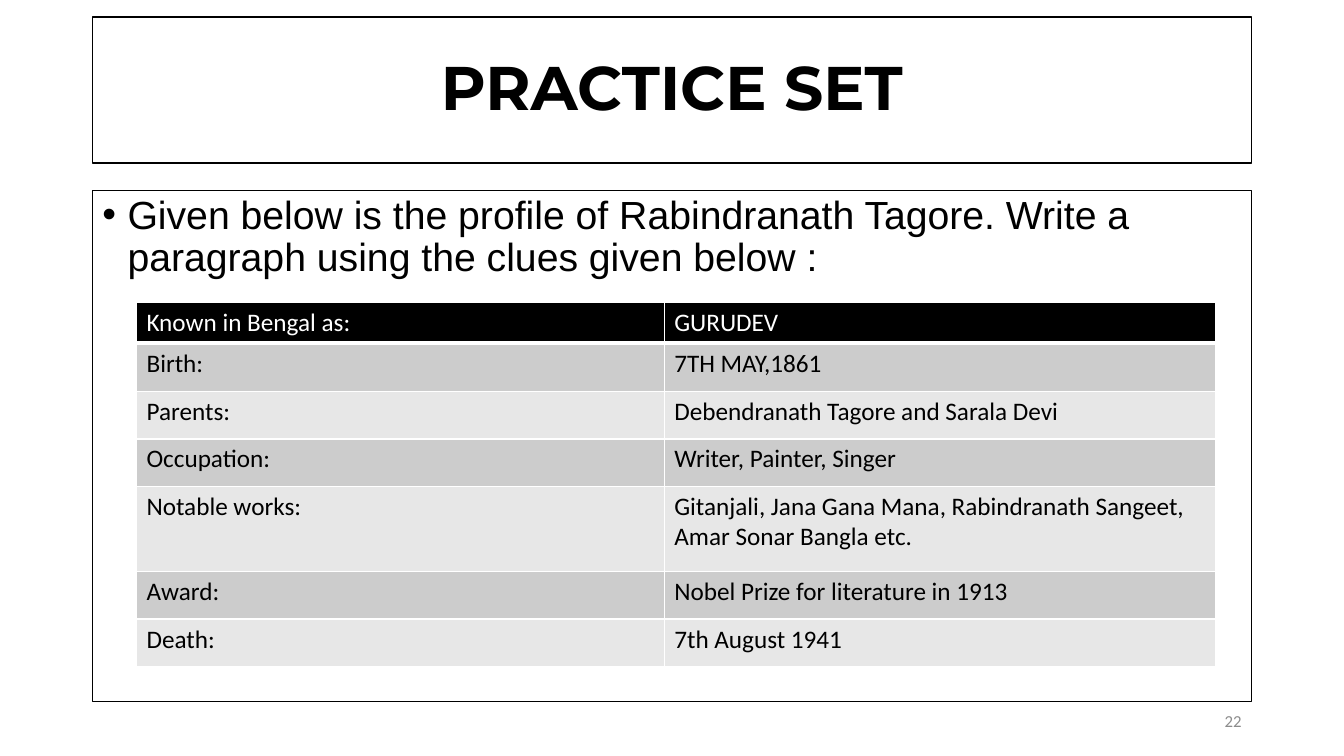
"""Build the practice set slide with the profile of Rabindranath Tagore."""
from lxml import etree
from pptx import Presentation, util as u
from pptx.dml.color import RGBColor
from pptx.enum import shapes, text
from pptx.oxml.ns import qn

COLORS = {"black": "000000", "white": "FFFFFF", "dark band": "CCCCCC",
          "light band": "E7E7E7", "page": "8C8C8C"}
PROFILE = [
    ("Known in Bengal as:", "GURUDEV", 1.02),
    ("Birth:", "7TH MAY,1861", 1.22),
    ("Parents:", "Debendranath Tagore and Sarala Devi", 1.19),
    ("Occupation:", "Writer, Painter, Singer", 1.19),
    ("Notable works:", "Gitanjali, Jana Gana Mana, Rabindranath Sangeet, Amar Sonar Bangla etc.", 2.16),
    ("Award:", "Nobel Prize for literature in 1913", 1.19),
    ("Death:", "7th August 1941", 1.19),
]


class PracticeSlide:
    """Holds the slide and its style, with a method for each kind of element."""

    def __init__(self, slide):
        self.slide = slide

    def color(self, name):
        return RGBColor.from_string(COLORS[name])

    def set_words(self, frame, words, font, size, color="black", bold=False,
                  align=text.PP_ALIGN.LEFT, spacing=None, bullet=False):
        frame.word_wrap = True
        paragraph = frame.paragraphs[0]
        paragraph.text = words
        paragraph.alignment = align
        if spacing:
            paragraph.line_spacing = spacing
        if bullet:
            properties = paragraph._p.get_or_add_pPr()
            properties.set("marL", str(u.Cm(0.635)))
            properties.set("indent", str(-u.Cm(0.635)))
            etree.SubElement(properties, qn("a:buFont")).set("typeface", "Arial")
            etree.SubElement(properties, qn("a:buChar")).set("char", "•")
        paragraph.font.name = font
        paragraph.font.size = u.Pt(size)
        paragraph.font.bold = bold
        paragraph.font.color.rgb = self.color(color)

    def panel(self, place, words, font, size, anchor, **style):
        panel = self.slide.shapes.add_shape(shapes.MSO_SHAPE.RECTANGLE, *map(u.Cm, place))
        panel.shadow.inherit = False
        panel.fill.solid()
        panel.fill.fore_color.rgb = self.color("white")
        panel.line.color.rgb = self.color("black")
        panel.line.width = u.Pt(1)
        panel.text_frame.vertical_anchor = anchor
        self.set_words(panel.text_frame, words, font, size, **style)

    def label(self, place, words, font, size, **style):
        label = self.slide.shapes.add_textbox(*map(u.Cm, place))
        label.text_frame.vertical_anchor = text.MSO_ANCHOR.MIDDLE
        self.set_words(label.text_frame, words, font, size, **style)

    def border(self, cell, bottom_width):
        properties = cell._tc.get_or_add_tcPr()
        for side, width in (("L", 1), ("R", 1), ("T", 1), ("B", bottom_width)):
            line = etree.SubElement(properties, qn(f"a:ln{side}"), w=str(u.Pt(width)))
            fill = etree.SubElement(line, qn("a:solidFill"))
            etree.SubElement(fill, qn("a:srgbClr"), val=COLORS["white"])

    def table(self, left, top, widths, rows):
        height = sum(row[-1] for row in rows)
        place = map(u.Cm, (left, top, sum(widths), height))
        table = self.slide.shapes.add_table(len(rows), len(widths), *place).table
        for column, width in zip(table.columns, widths):
            column.width = u.Cm(width)
        for index, (*entries, row_height) in enumerate(rows):
            table.rows[index].height = u.Cm(row_height)
            header = index == 0
            band = "black" if header else "dark band" if index % 2 else "light band"
            for cell, words in zip(table.rows[index].cells, entries):
                self.border(cell, 3 if header else 1)
                cell.fill.solid()
                cell.fill.fore_color.rgb = self.color(band)
                self.set_words(cell.text_frame, words, "Calibri", 18,
                               color="white" if header else "black")


def main():
    deck = Presentation()
    deck.slide_width, deck.slide_height = u.Cm(33.87), u.Cm(19.05)
    page = PracticeSlide(deck.slides.add_slide(deck.slide_layouts[6]))
    page.panel((2.33, 0.43, 29.21, 3.68), "PRACTICE SET", "Montserrat", 44,
               text.MSO_ANCHOR.MIDDLE, bold=True, align=text.PP_ALIGN.CENTER, spacing=0.9)
    page.panel((2.33, 4.8, 29.21, 12.88),
               "Given below is the profile of Rabindranath Tagore. "
               "Write a paragraph using the clues given below :",
               "Arial", 28, text.MSO_ANCHOR.TOP, spacing=0.9, bullet=True)
    page.label((23.92, 17.66, 7.62, 1.01), "22", "Calibri", 12,
               color="page", align=text.PP_ALIGN.RIGHT)
    page.table(3.44, 7.63, (13.3, 13.89), PROFILE)
    deck.save("out.pptx")


if __name__ == "__main__":
    main()
